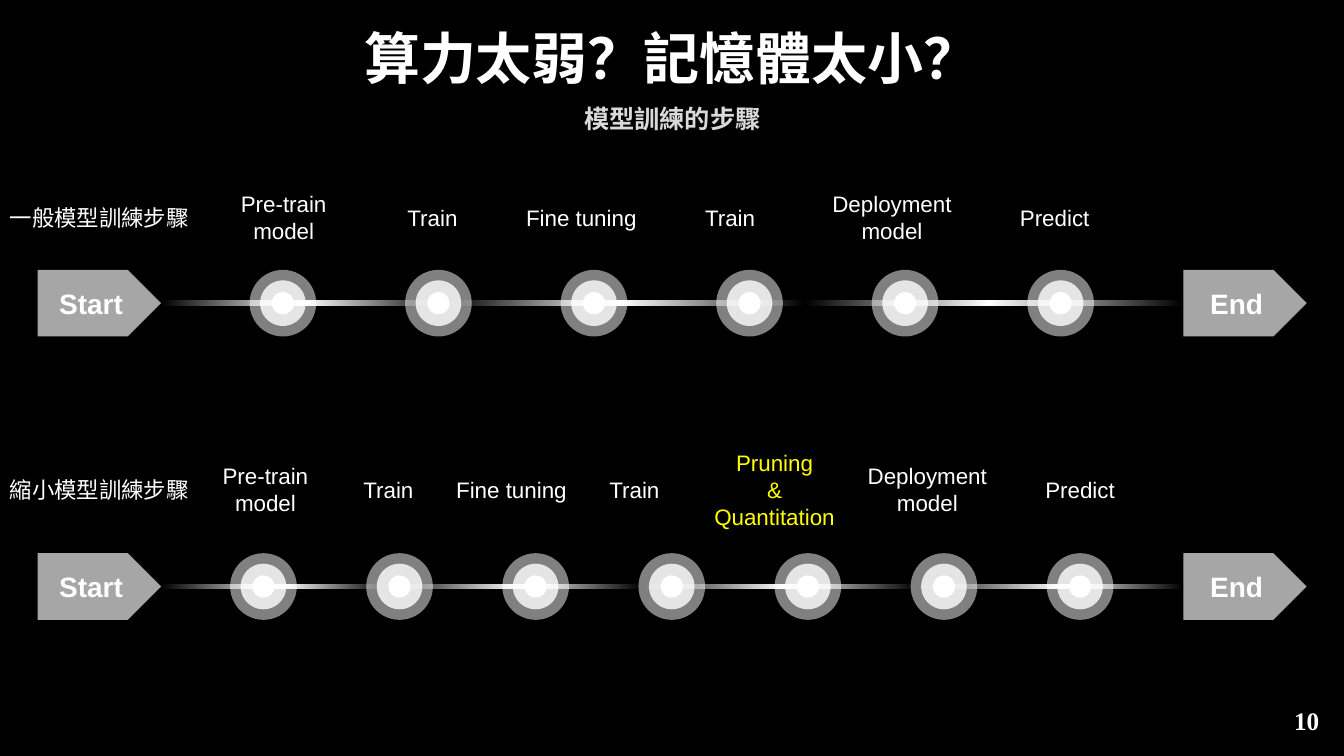
import pptx
import pptx.util
import pptx.dml.color
import pptx.enum.shapes
import pptx.enum.text
import pptx.oxml
import pptx.oxml.ns
from lxml import etree

Cm = pptx.util.Cm
Pt = pptx.util.Pt
ALIGN = pptx.enum.text.PP_ALIGN
ANCHOR = pptx.enum.text.MSO_ANCHOR
SHAPE = pptx.enum.shapes.MSO_SHAPE
qn = pptx.oxml.ns.qn

COLOURS = {
    "black": "000000",
    "white": "FFFFFF",
    "silver": "DBDBDB",
    "subtitle": "D9D9D9",
    "arrow": "A6A6A6",
    "highlight": "FFFF00",
}
CJK_FONT = "Noto Sans CJK SC"
LINE_LEFT, LINE_WIDTH, LINE_HEIGHT = 4.06, 25.76, 0.15
ARROW_WIDTH, ARROW_HEIGHT = 3.11, 1.68
RINGS = [(1.68, 50), (1.15, 80), (0.56, 100)]  # diameter, opacity in percent
LABEL_HEIGHT = 2.31

# Each label: text, centre, width, colour
GENERAL_STEPS = [
    ("Pre-train model", 7.15, 4.04, "white"),
    ("Train", 10.9, 4.04, "white"),
    ("Fine tuning", 14.65, 4.04, "white"),
    ("Train", 18.4, 4.04, "white"),
    ("Deployment model", 22.48, 4.72, "white"),
    ("Predict", 26.58, 4.04, "white"),
]
REDUCED_STEPS = [
    ("Pre-train model", 6.69, 4.04, "white"),
    ("Train", 9.79, 4.04, "white"),
    ("Fine tuning", 12.89, 4.04, "white"),
    ("Train", 15.99, 4.04, "white"),
    ("Pruning\n&\nQuantitation", 19.52, 4.85, "highlight"),
    ("Deployment model", 23.37, 4.72, "white"),
    ("Predict", 27.22, 4.85, "white"),
]
GENERAL_STOPS = [(0, "black"), (19, "white"), (37, "black"), (55, "white"),
                 (72, "black"), (86, "white"), (100, "black")]
REDUCED_STOPS = [(0, "black"), (12, "white"), (14, "silver"), (26, "black"),
                 (39, "white"), (53, "black"), (65, "white"), (78, "black"),
                 (88, "white"), (100, "black")]


def rgb(name):
    return pptx.dml.color.RGBColor.from_string(COLOURS[name])


def write_text(shape, text, size=16, font="Arial", colour="white", bold=False,
               align=ALIGN.CENTER, anchor=ANCHOR.MIDDLE, line_spacing=1.0):
    frame = shape.text_frame
    frame.word_wrap = True
    frame.auto_size = pptx.enum.text.MSO_AUTO_SIZE.NONE
    frame.vertical_anchor = anchor
    frame.text = text
    for paragraph in frame.paragraphs:
        paragraph.alignment = align
        paragraph.line_spacing = line_spacing
        paragraph.space_before = Pt(0)
        for run in paragraph.runs:
            run.font.size = Pt(size)
            run.font.bold = bold
            run.font.name = font
            run.font.color.rgb = rgb(colour)
            # East Asian typeface follows the Latin one
            latin = run.font._element.find(qn("a:latin"))
            east_asian = etree.Element(qn("a:ea"), typeface=CJK_FONT)
            latin.addnext(east_asian)


def add_text(slide, text, left, top, width, height, **text_format):
    box = slide.shapes.add_textbox(Cm(left), Cm(top), Cm(width), Cm(height))
    write_text(box, text, **text_format)


def fill_placeholder(placeholder, text, left, top, width, height, **text_format):
    placeholder.left, placeholder.top = Cm(left), Cm(top)
    placeholder.width, placeholder.height = Cm(width), Cm(height)
    write_text(placeholder, text, bold=True, line_spacing=0.9, **text_format)


def add_filled_shape(shapes, kind, left, top, width, height, colour, opacity=100):
    shape = shapes.add_shape(kind, Cm(left), Cm(top), Cm(width), Cm(height))
    shape.shadow.inherit = False
    shape.line.fill.background()
    shape.fill.solid()
    shape.fill.fore_color.rgb = rgb(colour)
    if opacity < 100:
        solid = shape._element.spPr.find(qn("a:solidFill"))
        etree.SubElement(solid[0], qn("a:alpha"), val=str(opacity * 1000))
    return shape


def add_glowing_line(slide, middle, stops):
    line = add_filled_shape(slide.shapes, SHAPE.RECTANGLE, LINE_LEFT,
                            middle - LINE_HEIGHT / 2, LINE_WIDTH, LINE_HEIGHT, "black")
    line.fill.gradient()
    line.fill.gradient_angle = 180
    stop_list = line._element.spPr.find(qn("a:gradFill")).find(qn("a:gsLst"))
    for old_stop in list(stop_list):
        stop_list.remove(old_stop)
    for position, colour in stops:
        stop = etree.SubElement(stop_list, qn("a:gs"), pos=str(position * 1000))
        etree.SubElement(stop, qn("a:srgbClr"), val=COLOURS[colour])


def add_node(slide, centre, middle):
    group = slide.shapes.add_group_shape()
    for diameter, opacity in RINGS:
        add_filled_shape(group.shapes, SHAPE.OVAL, centre - diameter / 2,
                         middle - diameter / 2, diameter, diameter, "white", opacity)


def add_arrow(slide, text, left, middle):
    arrow = add_filled_shape(slide.shapes, SHAPE.PENTAGON, left, middle - ARROW_HEIGHT / 2,
                             ARROW_WIDTH, ARROW_HEIGHT, "arrow")
    write_text(arrow, text, size=20, bold=True)


def add_timeline(slide, name, steps, stops, label_middle, middle, first_node, node_step):
    add_glowing_line(slide, middle, stops)
    add_arrow(slide, "Start", LINE_LEFT - ARROW_WIDTH, middle)
    add_arrow(slide, "End", LINE_LEFT + LINE_WIDTH, middle)
    label_top = label_middle - LABEL_HEIGHT / 2
    for index, (text, centre, width, colour) in enumerate(steps):
        add_node(slide, first_node + index * node_step, middle)
        add_text(slide, text, centre - width / 2, label_top, width, LABEL_HEIGHT,
                 colour=colour)
    add_text(slide, name, 0, label_top, 5.36, LABEL_HEIGHT, font=CJK_FONT, align=ALIGN.LEFT)


def main():
    presentation = pptx.Presentation()
    presentation.slide_width, presentation.slide_height = Cm(33.87), Cm(19.05)
    slide = presentation.slides.add_slide(presentation.slide_layouts[0])
    slide.background.fill.solid()
    slide.background.fill.fore_color.rgb = rgb("black")

    # Headings
    fill_placeholder(slide.shapes.title, "算力太弱？記憶體太小？", 7.62, 0.94, 18.62, 1.5,
                     size=40, anchor=ANCHOR.BOTTOM)
    fill_placeholder(slide.placeholders[1], "模型訓練的步驟", 12.22, 2.57, 9.45, 1.42,
                     size=18, colour="subtitle", anchor=ANCHOR.TOP)

    # Timelines
    add_timeline(slide, "一般模型訓練步驟", GENERAL_STEPS, GENERAL_STOPS,
                 label_middle=5.47, middle=7.64, first_node=7.13, node_step=3.92)
    add_timeline(slide, "縮小模型訓練步驟", REDUCED_STEPS, REDUCED_STOPS,
                 label_middle=12.33, middle=14.78, first_node=6.64, node_step=3.43)

    # Page number
    add_text(slide, "10", 29.08, 17.65, 4.42, 1.02, size=18, font="Times New Roman",
             bold=True, align=ALIGN.RIGHT)
    presentation.save("out.pptx")


if __name__ == "__main__":
    main()
